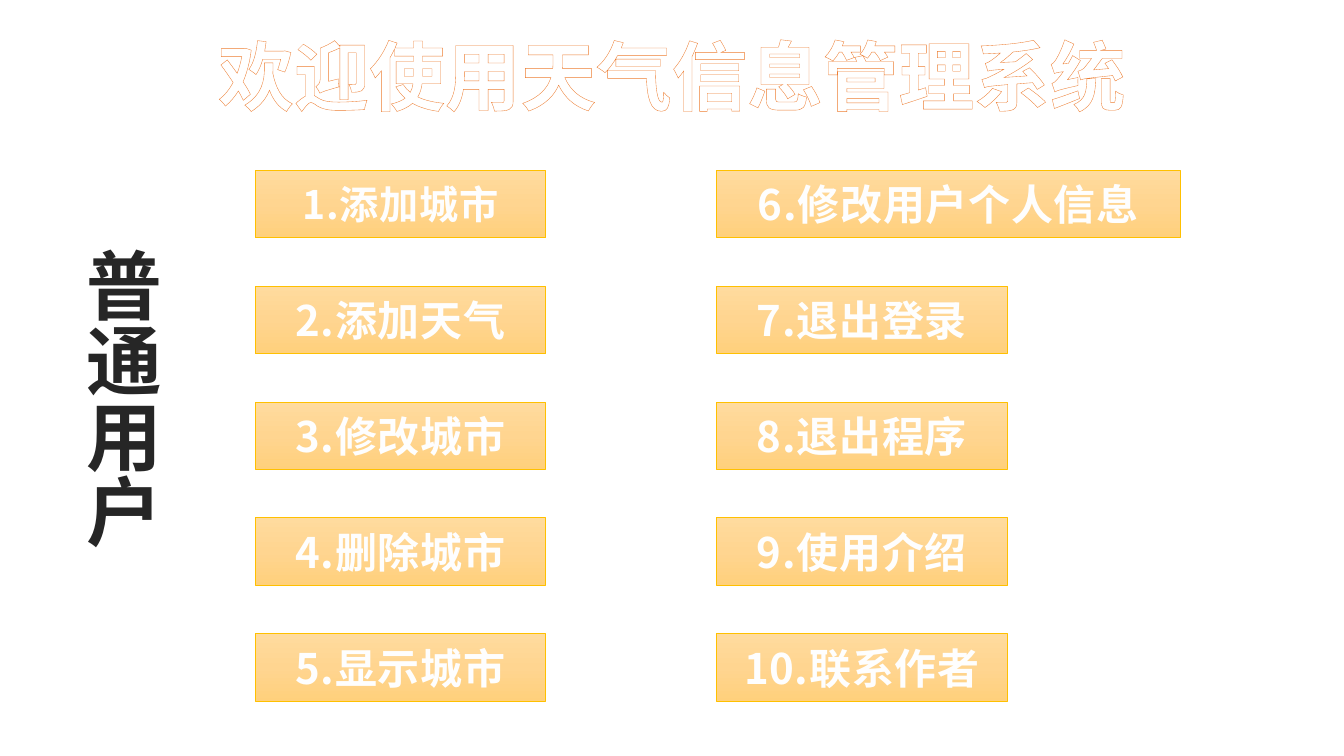
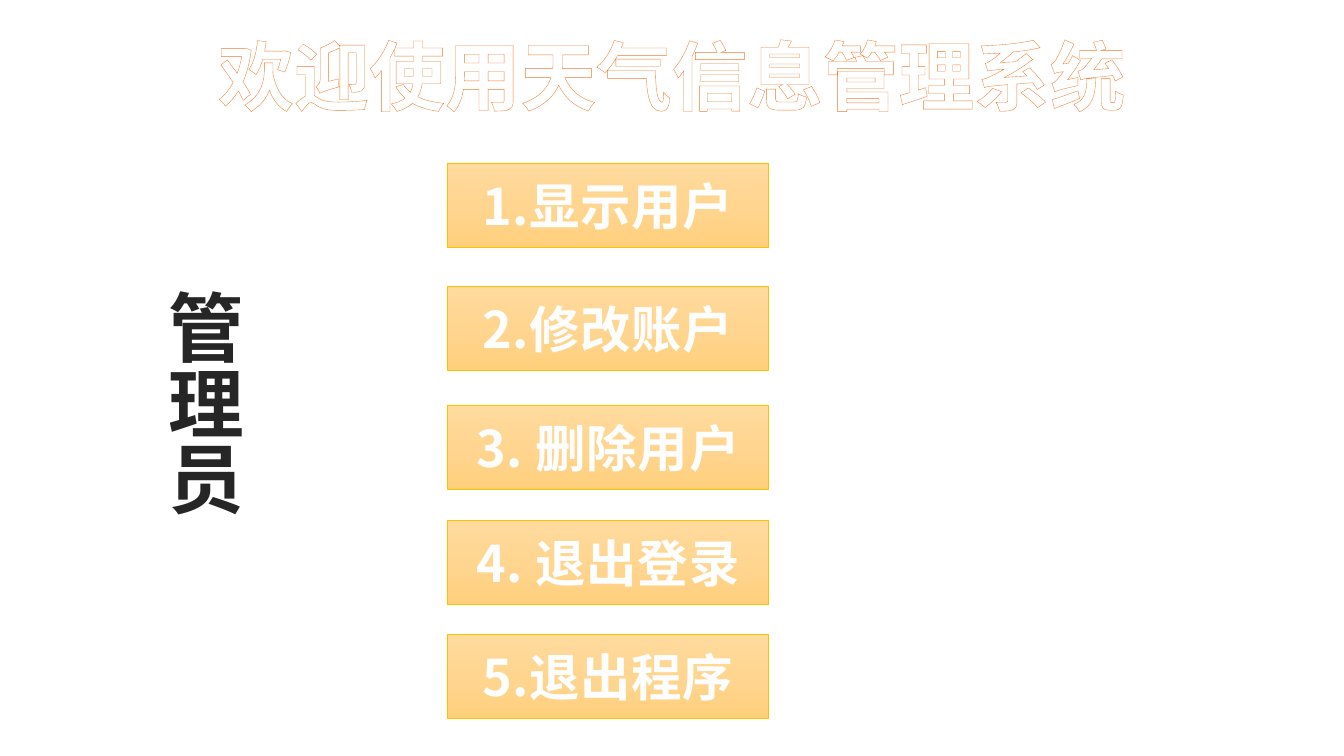
from copy import deepcopy
from dataclasses import dataclass

from lxml import etree
from pptx import Presentation
from pptx.dml.color import RGBColor
from pptx.enum.shapes import MSO_SHAPE
from pptx.enum.text import MSO_ANCHOR, MSO_AUTO_SIZE, PP_ALIGN
from pptx.oxml import parse_xml
from pptx.oxml.ns import nsdecls, qn
from pptx.shapes.base import BaseShape
from pptx.slide import Slide
from pptx.util import Cm, Pt

RECTANGLE = MSO_SHAPE.RECTANGLE
CENTER = PP_ALIGN.CENTER
MIDDLE = MSO_ANCHOR.MIDDLE
FIT_SHAPE = MSO_AUTO_SIZE.SHAPE_TO_FIT_TEXT


@dataclass(frozen=True)
class TextStyle:
    size: float
    color: str
    outline: str
    outline_width: float
    spacing: float = 0
    shadow: bool = False


@dataclass(frozen=True)
class Theme:
    font: str = "Noto Sans CJK SC"
    gradient: tuple[str, str, str] = ("FFDB9E", "FFD590", "FFD07C")
    border: str = "FFC000"
    border_width: float = 0.5
    title: TextStyle = TextStyle(54, "FFFFFF", "ED7D31", 0.52)
    role: TextStyle = TextStyle(54, "262626", "FFFFFF", 1.06)
    first_option: TextStyle = TextStyle(28, "FEFEFE", "4472C4", 0.75, 0.5, True)
    user_option: TextStyle = TextStyle(30, "FEFEFE", "4472C4", 0.75, 0.5, True)
    admin_option: TextStyle = TextStyle(36, "FEFEFE", "4472C4", 0.75, 0.5, True)


@dataclass(frozen=True)
class Box:
    """Position and size in centimetres."""
    left: float
    top: float
    width: float
    height: float

    def lengths(self) -> tuple[Cm, Cm, Cm, Cm]:
        return Cm(self.left), Cm(self.top), Cm(self.width), Cm(self.height)


@dataclass(frozen=True)
class Option:
    label: str
    box: Box
    style: TextStyle


THEME = Theme()
TITLE = "欢迎使用天气信息管理系统"
TITLE_BOX = Box(3.58, 0.61, 26.7, 2.57)

# Ordinary user's menu: two columns on an even pitch
USER_COLUMNS = (
    (6.43, ("1.添加城市", "2.添加天气", "3.修改城市", "4.删除城市", "5.显示城市")),
    (18.06, ("6.修改用户个人信息", "7.退出登录", "8.退出程序", "9.使用介绍", "10.联系作者")),
)
USER_TOP, USER_PITCH = 4.29, 2.92
USER_WIDTH, USER_HEIGHT = 7.32, 1.7
WIDE_LABEL, WIDE_WIDTH = "6.修改用户个人信息", 11.68
FIRST_LABEL = "1.添加城市"

# Administrator's menu: one column
ADMIN_ROWS = (
    (4.11, "1.显示用户"),
    (7.21, "2.修改账户"),
    (10.21, "3. 删除用户"),
    (13.11, "4. 退出登录"),
    (15.98, "5.退出程序"),
)


def write_text(shape: BaseShape, text: str, style: TextStyle) -> None:
    """Write one centred, outlined line."""
    paragraph = shape.text_frame.paragraphs[0]
    paragraph.text = text
    paragraph.alignment = CENTER
    font = paragraph.font
    font.name, font.size, font.bold = THEME.font, Pt(style.size), True
    font.color.rgb = RGBColor.from_string(style.color)

    # Outline, shadow, letter spacing and East Asian font
    properties = paragraph._p.pPr.find(qn("a:defRPr"))
    properties.insert(0, parse_xml(
        f'<a:ln {nsdecls("a")} w="{int(Pt(style.outline_width))}">'
        f'<a:solidFill><a:srgbClr val="{style.outline}"/></a:solidFill></a:ln>'))
    if style.spacing:
        properties.set("spc", str(round(style.spacing * 100)))
    if style.shadow:
        properties.find(qn("a:solidFill")).addnext(parse_xml(
            f'<a:effectLst {nsdecls("a")}>'
            '<a:outerShdw blurRad="12700" dist="25400" dir="2700000">'
            '<a:srgbClr val="000000"><a:alpha val="40000"/></a:srgbClr>'
            '</a:outerShdw></a:effectLst>'))
    east_asian = etree.SubElement(properties, qn("a:ea"))
    east_asian.set("typeface", THEME.font)


def add_title(slide: Slide) -> None:
    title = slide.shapes.add_textbox(*TITLE_BOX.lengths())
    title.text_frame.word_wrap = True
    title.text_frame.auto_size = FIT_SHAPE
    write_text(title, TITLE, THEME.title)


def add_role(slide: Slide, name: str, box: Box) -> None:
    """Add the vertical name of the user's role."""
    role = slide.shapes.add_textbox(*box.lengths())
    role.text_frame.word_wrap = False
    role.text_frame.auto_size = FIT_SHAPE
    role.text_frame._txBody.bodyPr.set("vert", "eaVert")
    write_text(role, name, THEME.role)


def add_option(slide: Slide, option: Option) -> None:
    button = slide.shapes.add_shape(RECTANGLE, *option.box.lengths())
    button.shadow.inherit = False
    button.line.color.rgb = RGBColor.from_string(THEME.border)
    button.line.width = Pt(THEME.border_width)

    # Three-stop gradient, running downwards
    button.fill.gradient()
    button.fill.gradient_angle = 270
    stop_list = button._element.spPr.find(f".//{qn('a:gsLst')}")
    stop_list.insert(1, deepcopy(stop_list[0]))
    for index, stop in enumerate(button.fill.gradient_stops):
        stop.position = index / 2
        stop.color.rgb = RGBColor.from_string(THEME.gradient[index])

    button.text_frame.vertical_anchor = MIDDLE
    write_text(button, option.label, option.style)


def user_options() -> list[Option]:
    return [
        Option(
            label,
            Box(left, USER_TOP + row * USER_PITCH,
                WIDE_WIDTH if label == WIDE_LABEL else USER_WIDTH, USER_HEIGHT),
            THEME.first_option if label == FIRST_LABEL else THEME.user_option,
        )
        for left, labels in USER_COLUMNS
        for row, label in enumerate(labels)
    ]


def admin_options() -> list[Option]:
    return [Option(label, Box(11.28, top, 8.08, 2.13), THEME.admin_option)
            for top, label in ADMIN_ROWS]


def add_menu(deck: Presentation, role: str, role_box: Box,
             options: list[Option]) -> None:
    slide = deck.slides.add_slide(deck.slide_layouts[6])
    add_title(slide)
    for option in options:
        add_option(slide, option)
    add_role(slide, role, role_box)


def main() -> None:
    deck = Presentation()
    deck.slide_width, deck.slide_height = Cm(33.87), Cm(19.05)
    add_menu(deck, "普通用户", Box(1.52, 5.99, 2.82, 7.95), user_options())
    add_menu(deck, "管理员", Box(3.58, 7.06, 2.82, 6.02), admin_options())
    deck.save("out.pptx")


if __name__ == "__main__":
    main()
